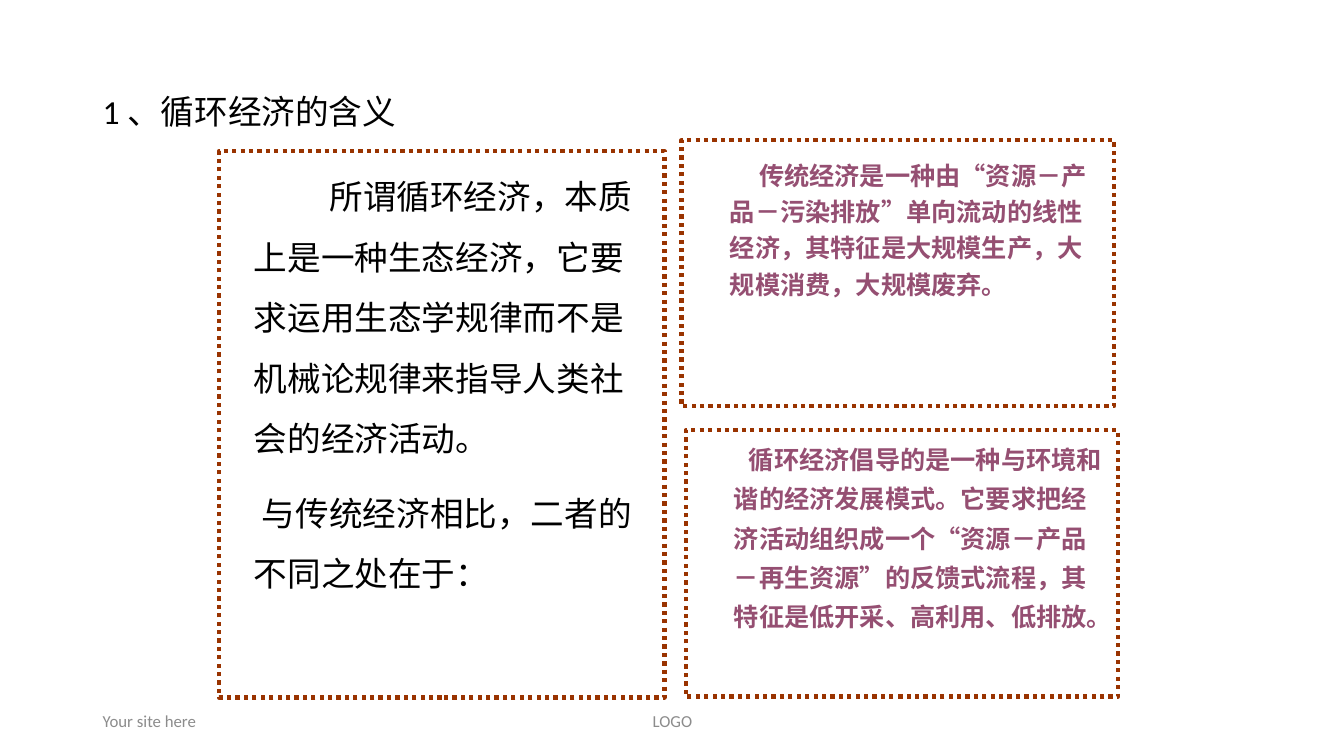
from dataclasses import dataclass

import pptx
import pptx.dml.color
import pptx.enum.dml
import pptx.enum.shapes
import pptx.enum.text
import pptx.oxml
import pptx.oxml.ns
import pptx.util

Inches = pptx.util.Inches
Align = pptx.enum.text.PP_ALIGN
Anchor = pptx.enum.text.MSO_ANCHOR

COLORS = {"black": "000000", "grey": "8C8C8C", "plum": "954F72", "rust": "993300"}


@dataclass
class Style:
    font: str
    size: int
    color: str
    bold: bool = False
    spacing: float = 1.0
    align: Align = Align.LEFT


@dataclass
class Passage:
    text: str
    first_line: float = 0  # offset of the first line from the margin, inches
    before: int = 0


@dataclass
class Block:
    left: float
    top: float
    width: float
    height: float
    style: Style
    passages: list[Passage]
    margin: float = 0
    top_inset: float = 0.05
    framed: bool = False


def color(name: str) -> pptx.dml.color.RGBColor:
    return pptx.dml.color.RGBColor.from_string(COLORS[name])


def write(para, passage: Passage, style: Style, margin: float) -> None:
    props = para._p.get_or_add_pPr()
    props.set("marL", str(Inches(margin)))
    props.set("indent", str(Inches(passage.first_line)))
    para.text = passage.text
    para.alignment = style.align
    para.line_spacing = style.spacing
    para.space_before = pptx.util.Pt(passage.before)
    font = para.font
    font.name, font.size, font.bold = style.font, pptx.util.Pt(style.size), style.bold
    font.color.rgb = color(style.color)
    east_asian = pptx.oxml.parse_xml(
        f'<a:ea {pptx.oxml.ns.nsdecls("a")} typeface="{style.font}"/>')
    font._element.append(east_asian)


def draw(page, block: Block) -> None:
    place = [Inches(n) for n in (block.left, block.top, block.width, block.height)]
    if block.framed:
        box = page.shapes.add_shape(pptx.enum.shapes.MSO_SHAPE.RECTANGLE, *place)
        box.shadow.inherit = False
        box.fill.background()
        box.line.color.rgb = color("rust")
        box.line.width = pptx.util.Pt(3)
        box.line.dash_style = pptx.enum.dml.MSO_LINE.ROUND_DOT
    else:
        box = page.shapes.add_textbox(*place)
    frame = box.text_frame
    frame.word_wrap = True
    frame.margin_top = Inches(block.top_inset)
    frame.vertical_anchor = Anchor.TOP if block.framed else Anchor.MIDDLE
    for number, passage in enumerate(block.passages):
        para = frame.add_paragraph() if number else frame.paragraphs[0]
        write(para, passage, block.style, block.margin)


footer = Style("Calibri", 12, "grey")
footer_centre = Style("Calibri", 12, "grey", align=Align.CENTER)
heading = Style("Calibri", 24, "black", spacing=0.9)
body = Style("Noto Sans CJK SC", 24, "black", spacing=1.5)
linear = Style("Noto Sans CJK SC", 18, "plum", bold=True, spacing=1.2)
circular = Style("Noto Sans CJK SC", 18, "plum", bold=True, spacing=1.3)

BLOCKS = [
    # Footer
    Block(4.42, 6.95, 4.5, 0.4, footer_centre, [Passage("LOGO")]),
    Block(0.92, 6.95, 3, 0.4, footer, [Passage("Your site here")]),
    # Heading
    Block(0.92, 0.4, 11.5, 1.45, heading, [Passage("1 、循环经济的含义")]),
    # Definition
    Block(2.17, 1.5, 4.42, 5.42, body, [
        Passage("所谓循环经济，本质上是一种生态经济，它要求运用生态学规律而不是"
                "机械论规律来指导人类社会的经济活动。", first_line=0.75),
        Passage("与传统经济相比，二者的不同之处在于：", first_line=0.08, before=10),
    ], margin=0.25, framed=True),
    # Linear and circular economy
    Block(6.76, 1.39, 4.29, 2.64, linear, [
        Passage("传统经济是一种由“资源－产品－污染排放”单向流动的线性经济，"
                "其特征是大规模生产，大规模消费，大规模废弃。", first_line=0.29),
    ], margin=0.38, top_inset=0.14, framed=True),
    Block(6.8, 4.27, 4.29, 2.64, circular, [
        Passage("循环经济倡导的是一种与环境和谐的经济发展模式。它要求把经济活动"
                "组织成一个“资源－产品－再生资源”的反馈式流程，"
                "其特征是低开采、高利用、低排放。", first_line=0.15),
    ], margin=0.38, framed=True),
]


def main() -> None:
    deck = pptx.Presentation()
    deck.slide_width, deck.slide_height = Inches(13.33), Inches(7.5)
    page = deck.slides.add_slide(deck.slide_layouts[6])
    for block in BLOCKS:
        draw(page, block)
    deck.save("out.pptx")


if __name__ == "__main__":
    main()
